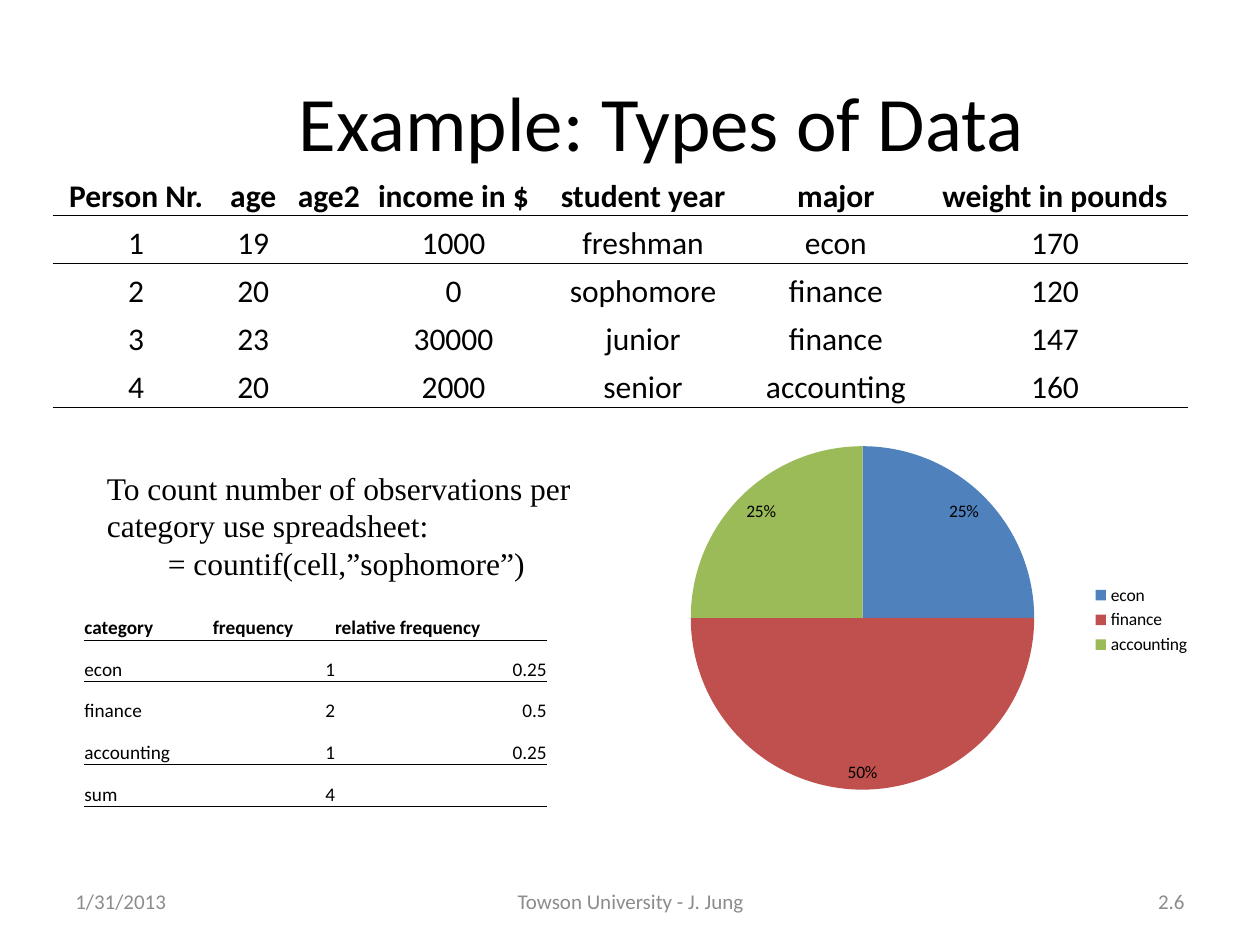
"""Build the slide on types of data, with two tables and a pie chart."""
from lxml import etree
from pptx import Presentation
from pptx.chart.data import CategoryChartData
from pptx.dml.color import RGBColor
from pptx.enum.chart import XL_CHART_TYPE, XL_LABEL_POSITION, XL_LEGEND_POSITION
from pptx.enum.text import MSO_ANCHOR, PP_ALIGN
from pptx.oxml import parse_xml
from pptx.oxml.ns import nsdecls, qn
from pptx.util import Inches, Pt

LEFT, MID, RIGHT = PP_ALIGN.LEFT, PP_ALIGN.CENTER, PP_ALIGN.RIGHT
BOTTOM, CENTRE = MSO_ANCHOR.BOTTOM, MSO_ANCHOR.MIDDLE
PIE = XL_CHART_TYPE.PIE
INNER = XL_LABEL_POSITION.INSIDE_END
BESIDE = XL_LEGEND_POSITION.RIGHT
PLAIN = "{2D5ABB26-0587-4C30-8999-92F81FD0307C}"

THEME = dict(
    sans="Calibri", serif="Times New Roman", ink="000000", grey="8C8C8C",
    slices=["4F81BD", "C0504D", "9BBB59"],
    title=44, body=18, small=11, foot=12, chart=10,
)

TITLE = "Example: Types of Data"
NOTE = [
    ("To count number of observations per category use spreadsheet:", LEFT),
    ("= countif(cell,”sophomore”)", MID),
]
PEOPLE = [
    ("Person Nr.", "age", "age2", "income in $", "student year", "major",
     "weight in pounds"),
    ("1", "19", "", "1000", "freshman", "econ", "170"),
    ("2", "20", "", "0", "sophomore", "finance", "120"),
    ("3", "23", "", "30000", "junior", "finance", "147"),
    ("4", "20", "", "2000", "senior", "accounting", "160"),
]
COUNTS = [
    ("category", "frequency", "relative frequency"),
    ("econ", "1", "0.25"),
    ("finance", "2", "0.5"),
    ("accounting", "1", "0.25"),
    ("sum", "4", ""),
]
SHARES = {"econ": 25, "finance": 50, "accounting": 25}
FOOT = [
    ("1/31/2013", 0.5, 2.33, LEFT),
    ("Towson University - J. Jung", 3.42, 3.17, MID),
    ("2.6", 7.17, 2.33, RIGHT),
]
PLOT = dict(x=0.09, y=0.04, w=0.61, h=0.91)


def style(font, size, face=THEME["sans"], tint=THEME["ink"], bold=False):
    font.size, font.name, font.bold = Pt(size), face, bold
    font.color.rgb = RGBColor.from_string(tint)


def write(frame, lines, size, **look):
    frame.word_wrap = True
    for i, (text, align) in enumerate(lines):
        para = frame.add_paragraph() if i else frame.paragraphs[0]
        para.alignment = align
        run = para.add_run()
        run.text = text
        style(run.font, size, **look)


def add_text(slide, box, lines, size, anchor, **look):
    frame = slide.shapes.add_textbox(*map(Inches, box)).text_frame
    frame.vertical_anchor = anchor
    write(frame, lines, size, **look)


def rule(cell, side):
    props = cell._tc.get_or_add_tcPr()
    props.insert(0, parse_xml(
        f'<a:{side} {nsdecls("a")} w="6350"><a:solidFill>'
        f'<a:srgbClr val="{THEME["ink"]}"/></a:solidFill></a:{side}>'))


def add_grid(slide, left, top, cols, high, rows, size, align, ruled):
    shape = slide.shapes.add_table(
        len(rows), len(cols), Inches(left), Inches(top),
        Inches(sum(cols)), Inches(high * len(rows)))
    grid = shape.table
    grid.first_row = grid.horz_banding = False
    grid._tbl.tblPr.find(qn("a:tableStyleId")).text = PLAIN
    for col, wide in zip(grid.columns, cols):
        col.width = Inches(wide)
    for r, row in enumerate(rows):
        grid.rows[r].height = Inches(high)
        for c, text in enumerate(row):
            cell = grid.cell(r, c)
            cell.margin_left = cell.margin_right = 0
            cell.margin_top = cell.margin_bottom = 0
            cell.vertical_anchor = BOTTOM
            cell.fill.background()
            if r in ruled:
                rule(cell, "lnB")
            if r - 1 in ruled:
                rule(cell, "lnT")
            if text:
                write(cell.text_frame, [(text, align(r, c))], size, bold=r == 0)


def add_pie(slide, box):
    data = CategoryChartData()
    data.categories = list(SHARES)
    data.add_series("Series 1", list(SHARES.values()))
    chart = slide.shapes.add_chart(PIE, *map(Inches, box), data).chart
    style(chart.font, THEME["chart"])
    chart.has_title = False
    chart.has_legend = True
    chart.legend.position = BESIDE
    chart.legend.include_in_layout = False
    plot = chart.plots[0]
    plot.vary_by_categories = True
    plot.has_data_labels = True
    labels = plot.data_labels
    labels.show_percentage, labels.show_value = True, False
    labels.number_format, labels.number_format_is_linked = "0%", False
    labels.position = INNER
    for i, tint in enumerate(THEME["slices"]):
        fill = plot.series[0].points[i].format.fill
        fill.solid()
        fill.fore_color.rgb = RGBColor.from_string(tint)
    area = chart._chartSpace.chart.plotArea
    for old in area.findall(qn("c:layout")):
        area.remove(old)
    layout = etree.Element(qn("c:layout"))
    manual = etree.SubElement(layout, qn("c:manualLayout"))
    marks = dict(layoutTarget="inner", xMode="edge", yMode="edge", **PLOT)
    for tag, val in marks.items():
        etree.SubElement(manual, qn(f"c:{tag}")).set("val", str(val))
    area.insert(0, layout)


def main():
    deck = Presentation()
    deck.slide_width, deck.slide_height = Inches(10), Inches(7.5)
    slide = deck.slides.add_slide(deck.slide_layouts[5])
    for text, left, wide, align in FOOT:
        add_text(slide, (left, 6.95, wide, 0.4), [(text, align)],
                 THEME["foot"], CENTRE, tint=THEME["grey"])
    add_grid(slide, 0.42, 1.33, [1.32, 0.54, 0.66, 1.32, 1.69, 1.37, 2.11],
             0.38, PEOPLE, THEME["body"], lambda r, c: MID, {0, 4})
    add_grid(slide, 0.67, 4.75, [1.02, 0.97, 1.68], 0.33, COUNTS,
             THEME["small"], lambda r, c: RIGHT if r and c else LEFT, {0, 3, 4})
    add_pie(slide, (5.08, 3.42, 4.47, 3))
    add_text(slide, (0.75, 3.67, 4, 1.01), NOTE, THEME["body"],
             MSO_ANCHOR.TOP, face=THEME["serif"])
    title = slide.shapes.title
    title.left, title.top, title.width, title.height = map(
        Inches, (0.75, 0.33, 9, 1.25))
    title.text_frame.vertical_anchor = CENTRE
    write(title.text_frame, [(TITLE, MID)], THEME["title"])
    deck.save("out.pptx")


if __name__ == "__main__":
    main()
